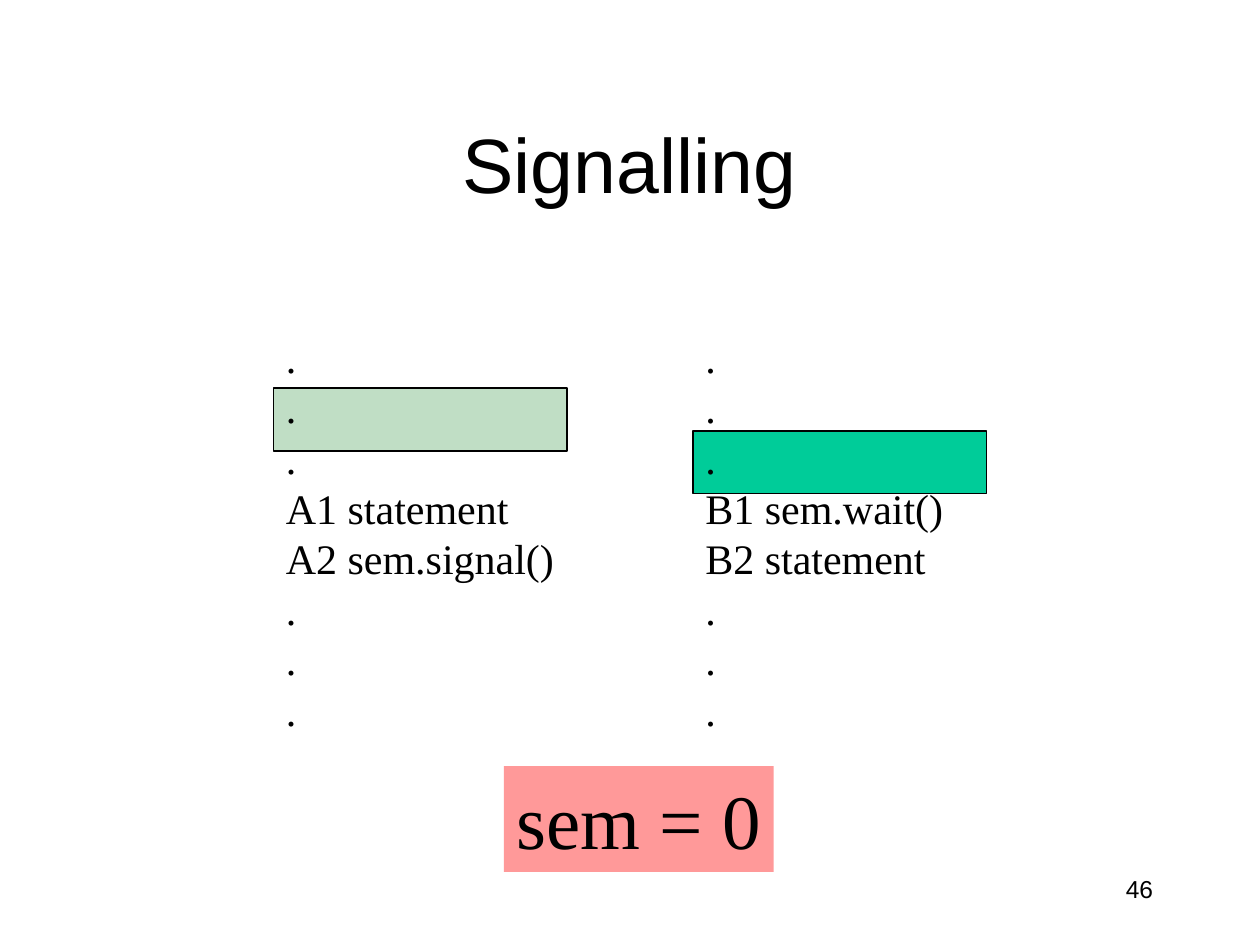
from dataclasses import dataclass

from pptx import Presentation
from pptx.dml.color import RGBColor
from pptx.enum.shapes import MSO_SHAPE
from pptx.enum.text import MSO_ANCHOR, PP_ALIGN
from pptx.util import Emu, Pt

EMU_PER_PX = 9144  # 100 px to the inch


@dataclass(frozen=True)
class Theme:
    ink: str = "000000"
    done: str = "C0DEC5"
    active: str = "00CC99"
    semaphore: str = "FF9999"
    sans: str = "Arial"
    serif: str = "Times New Roman"
    title: int = 44
    code: int = 24
    number: int = 14


@dataclass(frozen=True)
class Box:
    left: int
    top: int
    width: int
    height: int

    def emu(self) -> list[Emu]:
        return [Emu(v * EMU_PER_PX) for v in (self.left, self.top, self.width, self.height)]


@dataclass(frozen=True)
class Thread:
    left: int
    text_width: int
    marker_top: int
    marker_fill: str
    statements: tuple[str, ...]


THEME = Theme()
SERIF_LEADING = 1.2
DOTS = (".",) * 3
THREADS = (
    Thread(217, 233, 308, THEME.done, ("A1 statement", "A2 sem.signal()")),
    Thread(550, 209, 342, THEME.active, ("B1 sem.wait()", "B2 statement")),
)


def add_rect(s, box: Box, fill: str, outlined: bool = True):
    sp = s.shapes.add_shape(MSO_SHAPE.RECTANGLE, *box.emu())
    sp.shadow.inherit = False
    sp.fill.solid()
    sp.fill.fore_color.rgb = RGBColor.from_string(fill)
    if outlined:
        sp.line.color.rgb = RGBColor.from_string(THEME.ink)
        sp.line.width = Pt(0.75)
    else:
        sp.line.fill.background()
    return sp


def write(sp, *lines: str, size: int, font: str = THEME.serif, align=PP_ALIGN.LEFT,
          anchor=MSO_ANCHOR.TOP, wrap: bool = False, spacing=None) -> None:
    tf = sp.text_frame
    tf.word_wrap = wrap
    tf.vertical_anchor = anchor
    for i, line in enumerate(lines):
        p = tf.add_paragraph() if i else tf.paragraphs[0]
        p.alignment = align
        p.line_spacing = spacing
        r = p.add_run()
        r.text = line
        r.font.size = Pt(size)
        r.font.name = font
        r.font.color.rgb = RGBColor.from_string(THEME.ink)


def add_text(s, box: Box, *lines: str, **text_format) -> None:
    write(s.shapes.add_textbox(*box.emu()), *lines, **text_format)


def add_thread(s, thread: Thread) -> None:
    """Draw the current-line marker, then the code over it."""
    add_rect(s, Box(thread.left, thread.marker_top, 233, 50), thread.marker_fill)
    add_text(s, Box(thread.left, 258, thread.text_width, 330),
             *DOTS, *thread.statements, *DOTS,
             size=THEME.code, spacing=Pt(THEME.code * SERIF_LEADING))


def main() -> None:
    prs = Presentation()
    prs.slide_width, prs.slide_height = Box(0, 0, 1000, 750).emu()[2:]
    s = prs.slides.add_slide(prs.slide_layouts[6])

    add_text(s, Box(75, 51, 849, 156), "Signalling", size=THEME.title, font=THEME.sans,
             align=PP_ALIGN.CENTER, anchor=MSO_ANCHOR.MIDDLE, wrap=True)
    for thread in THREADS:
        add_thread(s, thread)
    write(add_rect(s, Box(400, 608, 214, 84), THEME.semaphore, outlined=False), "sem = 0",
          size=THEME.title, spacing=Pt(THEME.title * SERIF_LEADING))
    add_text(s, Box(717, 683, 208, 49), "46", size=THEME.number, font=THEME.sans,
             align=PP_ALIGN.RIGHT, wrap=True, spacing=1.24)

    prs.save("out.pptx")


if __name__ == "__main__":
    main()
